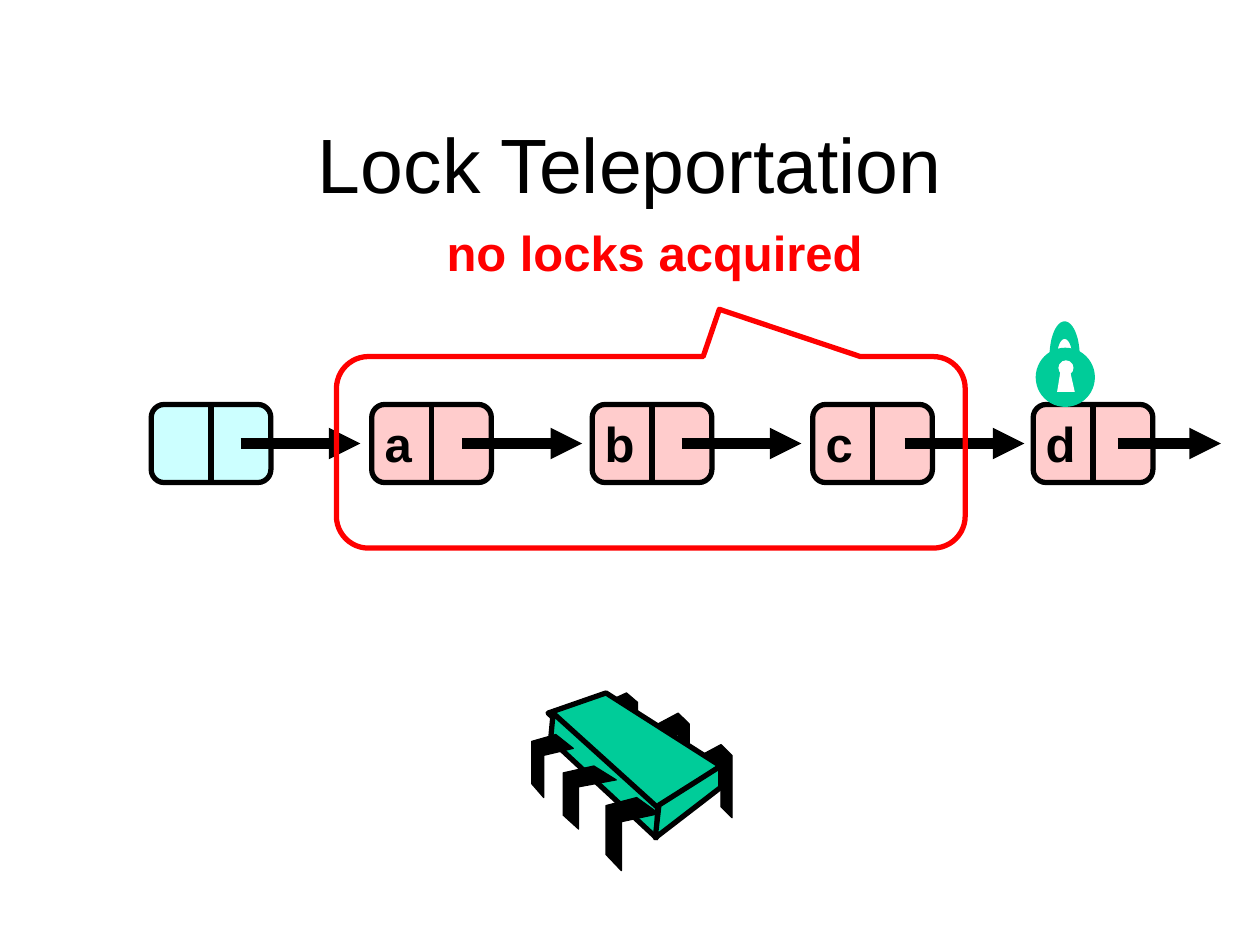
from math import cos, pi, sin

from lxml import etree
from pptx import Presentation
from pptx.dml.color import RGBColor
from pptx.enum.shapes import MSO_CONNECTOR, MSO_SHAPE
from pptx.enum.text import MSO_ANCHOR, MSO_AUTO_SIZE, PP_ALIGN
from pptx.oxml.ns import qn
from pptx.util import Inches, Pt

STRAIGHT = MSO_CONNECTOR.STRAIGHT
ROUNDED, ELLIPSE = MSO_SHAPE.ROUNDED_RECTANGLE, MSO_SHAPE.OVAL
CALLOUT = MSO_SHAPE.ROUNDED_RECTANGULAR_CALLOUT
CENTER, MIDDLE = PP_ALIGN.CENTER, MSO_ANCHOR.MIDDLE
FIT_TEXT = MSO_AUTO_SIZE.SHAPE_TO_FIT_TEXT

COLORS = {"black": "000000", "white": "FFFFFF", "red": "FF0000",
          "green": "00CC99", "cyan": "CCFFFF", "pink": "FFCCCC"}
FONT = "Arial"

NODE_LABELS = ["", "a", "b", "c", "d"]
NODE_LEFT, NODE_TOP, NODE_PITCH = 1.2, 3.21, 1.75
NODE_WIDTH, NODE_HEIGHT = 0.95, 0.62
ARROWS = [(1.91, 2.86), (3.67, 4.62), (5.41, 6.36), (7.18, 8.13), (8.87, 9.69)]
ARROW_Y = 3.52

BACK_LEG = [(0, 0.15), (0.65, 0), (1, 0.15), (1, 1),
            (0.65, 0.85), (0.65, 0.28), (0, 0.43)]
FRONT_LEG = [(0.58, 0), (1, 0.22), (0.29, 0.33), (0.29, 1), (0, 0.78), (0, 0.11)]
BACK_LEGS = [(1.34, 0.41, 0.25, 0.58), (1, 0.16, 0.25, 0.58), (0.59, 0, 0.25, 0.5)]
FRONT_LEGS = [(0.59, 0.83, 0.42, 0.58), (0.25, 0.58, 0.42, 0.5), (0, 0.33, 0.33, 0.5)]
CHIP_FACES = [
    [(0.59, 0), (1.5, 0.58), (0.99, 0.93), (0.13, 0.16)],
    [(0.17, 0.16), (1, 0.91), (0.99, 1.15), (0.15, 0.37)],
    [(1.5, 0.58), (1.5, 0.75), (0.98, 1.15), (1.01, 0.89)],
]


def color(name):
    """Return the named palette colour."""
    return RGBColor.from_string(COLORS[name])


def write(frame, text, size=28, ink="black", bold=False):
    """Put one centred, formatted line of text in a frame."""
    para = frame.paragraphs[0]
    para.alignment = CENTER
    span = para.add_run()
    span.text = text
    span.font.name = FONT
    span.font.size = Pt(size)
    span.font.bold = bold
    span.font.color.rgb = color(ink)


def add_label(shapes, box, text, **style):
    """Add an unwrapped text box that fits its text."""
    frame = shapes.add_textbox(*map(Inches, box)).text_frame
    frame.word_wrap = False
    frame.auto_size = FIT_TEXT
    write(frame, text, **style)


def paint(shape, fill=None, line=None, width=3):
    """Set the fill and outline of a shape without a shadow."""
    shape.shadow.inherit = False
    if fill:
        shape.fill.solid()
        shape.fill.fore_color.rgb = color(fill)
    else:
        shape.fill.background()
    if line:
        shape.line.color.rgb = color(line)
        shape.line.width = Pt(width)
    else:
        shape.line.fill.background()


def add_preset(shapes, kind, box, adjustments=(), **style):
    """Add a painted preset shape."""
    shape = shapes.add_shape(kind, *map(Inches, box))
    for index, value in enumerate(adjustments):
        shape.adjustments[index] = value
    paint(shape, **style)
    return shape


def add_polygon(shapes, box, points, **style):
    """Add a closed outline whose points are fractions of the box."""
    left, top, width, height = box
    corners = [(Inches(left + x * width), Inches(top + y * height)) for x, y in points]
    builder = shapes.build_freeform(*corners[0])
    builder.add_line_segments(corners[1:], close=True)
    paint(builder.convert_to_shape(), **style)


def add_line(shapes, start, end, width, arrow=False):
    """Add a black straight line, with an arrowhead if asked."""
    line = shapes.add_connector(STRAIGHT, *map(Inches, (*start, *end)))
    line.line.color.rgb = color("black")
    line.line.width = Pt(width)
    if arrow:
        etree.SubElement(line.line._get_or_add_ln(), qn("a:tailEnd"), type="triangle")
    etree.SubElement(line._element.spPr, qn("a:effectLst"))
    return line


def add_node(page, box, label, fill):
    """Draw a two-cell list node in the box."""
    left, top, width, height = box
    shapes = page.shapes.add_group_shape().shapes
    body = add_preset(shapes, ROUNDED, box, [0.167], fill=fill, line="black")
    middle = left + width / 2
    divider = add_line(shapes, (middle, top), (middle, top + height), 3)
    divider.begin_connect(body, 0)
    divider.end_connect(body, 2)
    if label:
        add_label(shapes, (left, top + 0.02, 0.42, 0.57), label, bold=True)


def add_list(page, left, top):
    """Draw the row of linked nodes and their arrows."""
    for index, label in enumerate(NODE_LABELS):
        box = (left + index * NODE_PITCH, top, NODE_WIDTH, NODE_HEIGHT)
        add_node(page, box, label, "pink" if label else "cyan")
    for start, end in ARROWS:
        add_line(page.shapes, (start, ARROW_Y), (end, ARROW_Y), 6, arrow=True)


def half_ellipse(radius_x, radius_y, steps=24):
    """Return points over the top half of an ellipse, left to right."""
    angles = [pi - pi * step / steps for step in range(steps + 1)]
    return [(radius_x * cos(angle), -radius_y * sin(angle)) for angle in angles]


def add_lock(page, left, top):
    """Draw a padlock from its top left corner."""
    shapes = page.shapes.add_group_shape().shapes
    add_preset(shapes, ELLIPSE, (left, top + 0.21, 0.47, 0.47), fill="green")
    add_preset(shapes, ELLIPSE, (left + 0.18, top + 0.31, 0.12, 0.12), fill="white")
    add_polygon(shapes, (left + 0.17, top + 0.38, 0.14, 0.18),
                [(0, 1), (0.21, 0), (0.71, 0), (1, 1)], fill="white")
    shackle = half_ellipse(0.12, 0.28) + half_ellipse(0.06, 0.14)[::-1]
    add_polygon(shapes, (left + 0.23, top + 0.28, 1, 1), shackle, fill="green")


def add_chip(page, left, top):
    """Draw a six-legged processor chip from its top left corner."""
    shapes = page.shapes.add_group_shape().shapes

    def add_legs(boxes, outline):
        """Draw one row of legs."""
        for x, y, width, height in boxes:
            add_polygon(shapes, (left + x, top + y, width, height), outline,
                        fill="black", line="black", width=0.75)

    add_legs(BACK_LEGS, BACK_LEG)
    for face in CHIP_FACES:
        add_polygon(shapes, (left, top, 1, 1), face, fill="green", line="black")
    add_legs(FRONT_LEGS, FRONT_LEG)


def add_title(page, box, text):
    """Place and fill the title placeholder."""
    title = page.shapes.title
    title.left, title.top, title.width, title.height = map(Inches, box)
    title.text_frame.vertical_anchor = MIDDLE
    write(title.text_frame, text, size=44)


def add_callout(page, box, text):
    """Draw the red callout with its caption above."""
    left, top, width, height = box
    add_label(page.shapes, (left + 0.75, top - 1.11, 3.55, 0.57), text,
              ink="red", bold=True)
    add_preset(page.shapes, CALLOUT, box, [0.109, -0.747, 0.167], line="red")


def main():
    """Build and save the slide."""
    deck = Presentation()
    deck.slide_width, deck.slide_height = Inches(10), Inches(7.5)
    page = deck.slides.add_slide(deck.slide_layouts[5])
    add_title(page, (0.75, 0.67, 8.5, 1.25), "Lock Teleportation")
    add_list(page, NODE_LEFT, NODE_TOP)
    add_lock(page, 8.22, 2.55)
    add_chip(page, 4.22, 5.5)
    add_callout(page, (2.67, 2.83, 4.99, 1.52), "no locks acquired")
    deck.save("out.pptx")


if __name__ == "__main__":
    main()
